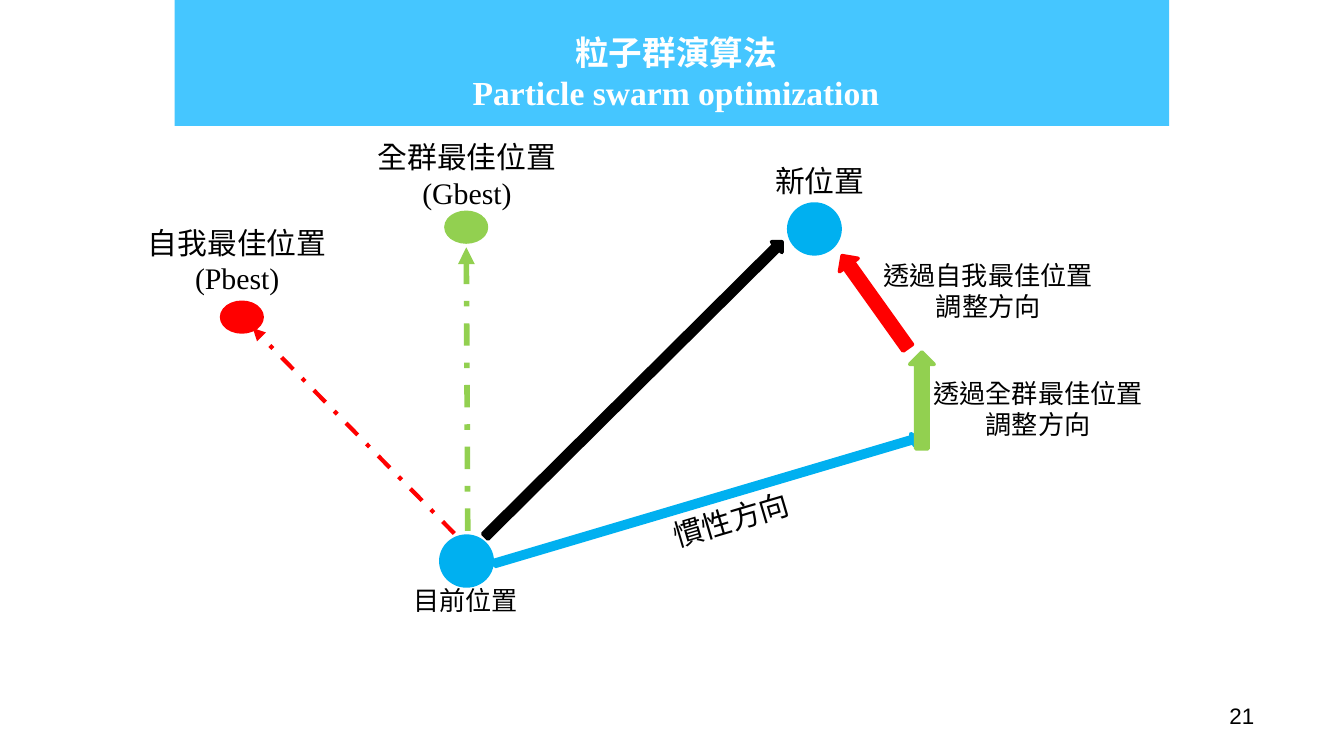
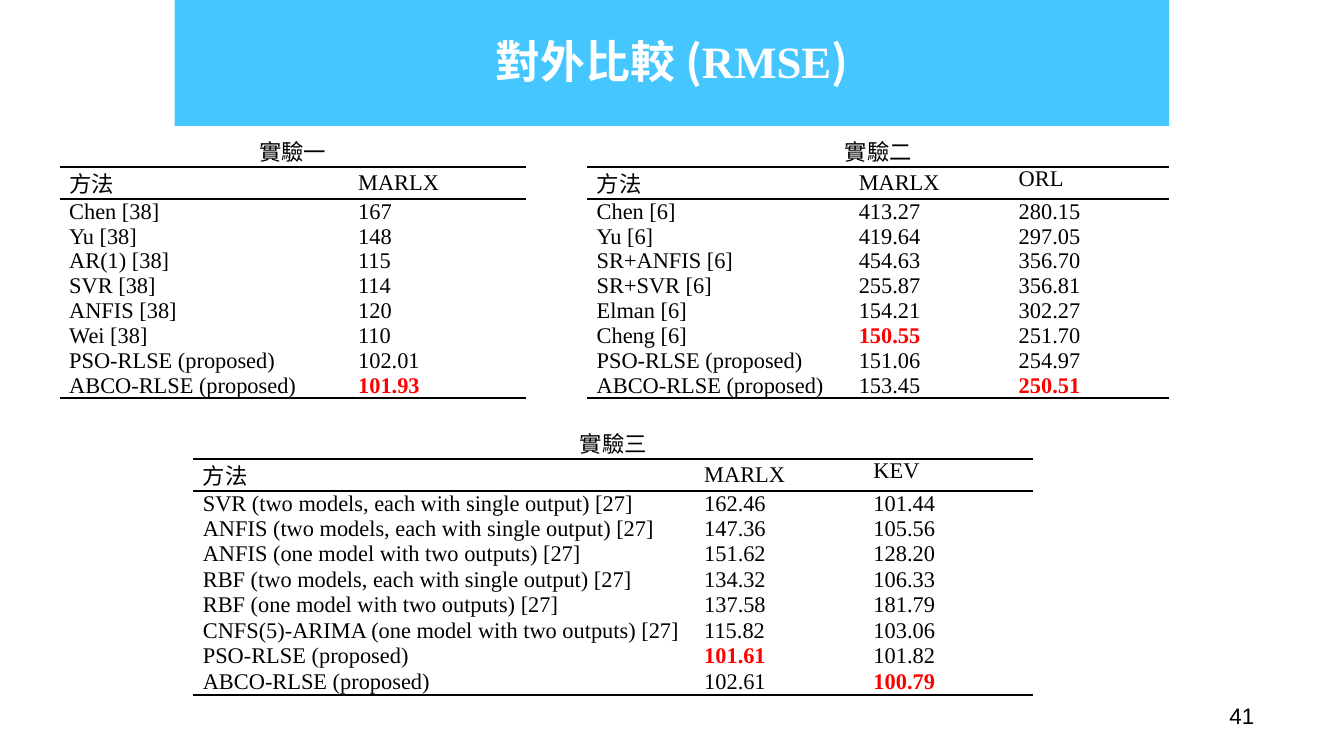
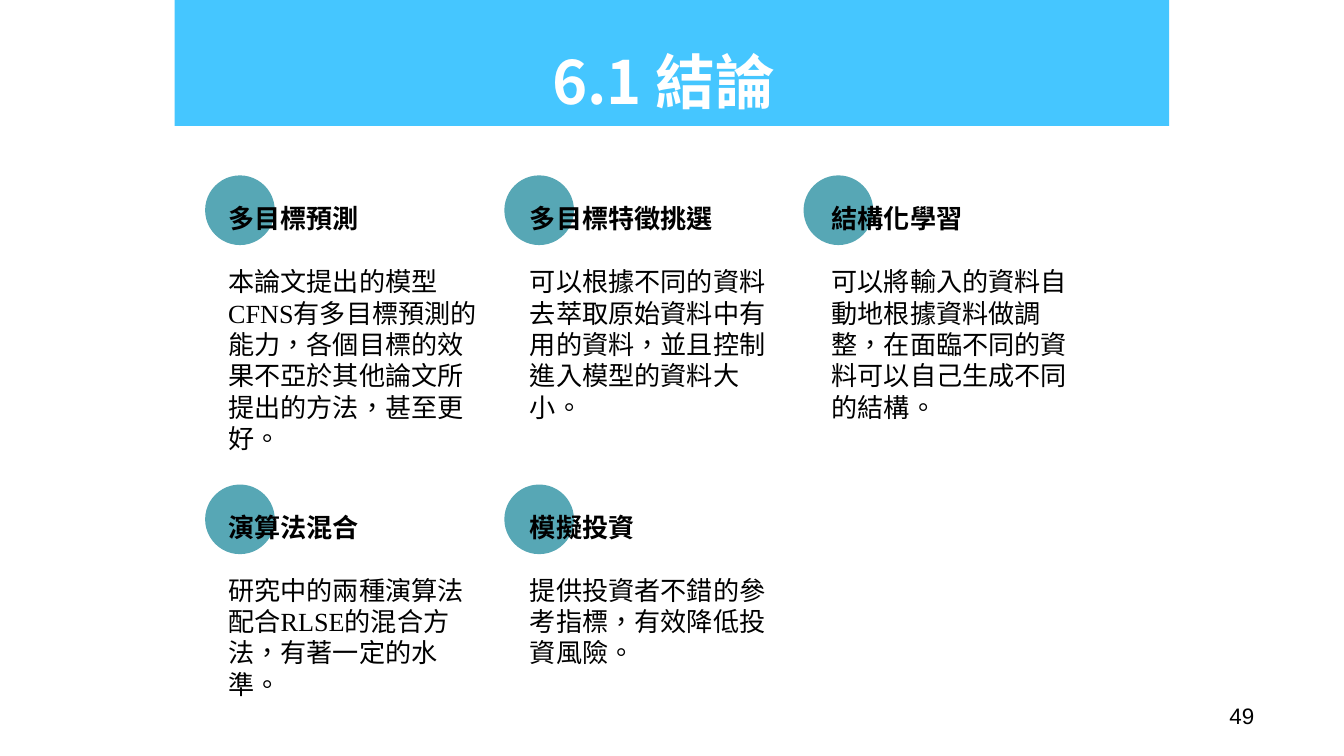
from lxml.etree import SubElement
from pptx import Presentation
from pptx.dml.color import RGBColor
from pptx.enum.dml import MSO_LINE
from pptx.enum.shapes import MSO_CONNECTOR, MSO_SHAPE
from pptx.enum.text import MSO_ANCHOR as ANCHOR, MSO_AUTO_SIZE as AUTO, PP_ALIGN as ALIGN
from pptx.oxml.ns import qn
from pptx.util import Pt

SERIF, SANS, PLAIN = "Times New Roman", "Noto Sans CJK SC", "Arial"
BLACK, WHITE, RED = "000000", "FFFFFF", "FF0000"
BLUE, GREEN, TEAL, BAND = "00B0F0", "92D050", "57A7B5", "00B2FF"
NO_STYLE = "{2D5ABB26-0587-4C30-8999-92F81FD0307C}"
HEADER_HEIGHT = 17.4

EXPERIMENTS = [
    ((32, 72), (154.8, 95), 13.35, "實驗一", [
        ("方法", "MARLX"),
        ("Chen [38]", "167"),
        ("Yu [38]", "148"),
        ("AR(1) [38]", "115"),
        ("SVR [38]", "114"),
        ("ANFIS [38]", "120"),
        ("Wei [38]", "110"),
        ("PSO-RLSE (proposed)", "102.01"),
        ("ABCO-RLSE (proposed)", "101.93"),
    ]),
    ((314.6, 72), (140.4, 85.7, 85.7), 13.35, "實驗二", [
        ("方法", "MARLX", "ORL"),
        ("Chen [6]", "413.27", "280.15"),
        ("Yu [6]", "419.64", "297.05"),
        ("SR+ANFIS [6]", "454.63", "356.70"),
        ("SR+SVR [6]", "255.87", "356.81"),
        ("Elman [6]", "154.21", "302.27"),
        ("Cheng [6]", "150.55", "251.70"),
        ("PSO-RLSE (proposed)", "151.06", "254.97"),
        ("ABCO-RLSE (proposed)", "153.45", "250.51"),
    ]),
    ((103.6, 228.4), (268.6, 90.7, 90.7), 13.65, "實驗三", [
        ("方法", "MARLX", "KEV"),
        ("SVR (two models, each with single output) [27]", "162.46", "101.44"),
        ("ANFIS (two models, each with single output) [27]", "147.36", "105.56"),
        ("ANFIS (one model with two outputs) [27]", "151.62", "128.20"),
        ("RBF (two models, each with single output) [27]", "134.32", "106.33"),
        ("RBF (one model with two outputs) [27]", "137.58", "181.79"),
        ("CNFS(5)-ARIMA (one model with two outputs) [27]", "115.82", "103.06"),
        ("PSO-RLSE (proposed)", "101.61", "101.82"),
        ("ABCO-RLSE (proposed)", "102.61", "100.79"),
    ]),
]
BEST = {"101.93", "150.55", "250.51", "101.61", "100.79"}

CONCLUSIONS = [
    ("多目標預測", SERIF, 143.3,
     "本論文提出的模型CFNS有多目標預測的能力，各個目標的效果不亞於其他論文所提出的方法，甚至更好。"),
    ("多目標特徵挑選", SANS, 108.7,
     "可以根據不同的資料去萃取原始資料中有用的資料，並且控制進入模型的資料大小。"),
    ("結構化學習", SANS, 126,
     "可以將輸入的資料自動地根據資料做調整，在面臨不同的資料可以自己生成不同的結構。"),
    ("演算法混合", SERIF, 92.2,
     "研究中的兩種演算法配合RLSE的混合方法，有著一定的水準。"),
    ("模擬投資", SANS, 92.2,
     "提供投資者不錯的參考指標，有效降低投資風險。"),
]


def rgb(color):
    return RGBColor.from_string(color)


def points(*lengths):
    return [Pt(length) for length in lengths]


def add_run(paragraph, text, size, color=BLACK, font=SERIF, bold=False):
    run = paragraph.add_run()
    run.text = text
    run.font.size = Pt(size)
    run.font.name = font
    run.font.bold = bold
    run.font.color.rgb = rgb(color)
    run._r.get_or_add_rPr().set("lang", "zh-TW")


def add_frame(slide, box, wrap=True):
    textbox = slide.shapes.add_textbox(*points(*box))
    textbox.text_frame.word_wrap = wrap
    return textbox, textbox.text_frame


def add_label(slide, box, lines, size, angle=0):
    label, frame = add_frame(slide, box, wrap=False)
    label.rotation = angle
    frame.auto_size = AUTO.SHAPE_TO_FIT_TEXT
    for number, line in enumerate(lines):
        paragraph = frame.add_paragraph() if number else frame.paragraphs[0]
        paragraph.alignment = ALIGN.CENTER
        add_run(paragraph, line, size)


def add_solid(slide, kind, box, color, angle=0):
    solid = slide.shapes.add_shape(kind, *points(*box))
    solid.shadow.inherit = False
    solid.rotation = angle
    solid.fill.solid()
    solid.fill.fore_color.rgb = rgb(color)
    solid.line.color.rgb = rgb(color)
    solid.line.width = Pt(2)
    return solid


def add_dashed_arrow(slide, start, end, color, width):
    arrow = slide.shapes.add_connector(MSO_CONNECTOR.STRAIGHT, *points(*start, *end))
    arrow.line.color.rgb = rgb(color)
    arrow.line.width = Pt(width)
    arrow.line.dash_style = MSO_LINE.DASH_DOT
    SubElement(arrow.line._get_or_add_ln(), qn("a:tailEnd"), type="triangle")
    SubElement(arrow._element.spPr, qn("a:effectLst"))


def add_title(slide, left, top, lines, size):
    _, frame = add_frame(slide, (left, top, 532.8, 39.6))
    frame.margin_top = frame.margin_bottom = Pt(7.2)
    paragraph = frame.paragraphs[0]
    paragraph.alignment = ALIGN.CENTER
    for number, line in enumerate(lines):
        if number:
            paragraph.add_line_break()
        for text, font in line:
            add_run(paragraph, text, size, WHITE, font, bold=True)


def start_slide(deck, page):
    slide = deck.slides.add_slide(deck.slide_layouts[6])
    band = add_solid(slide, MSO_SHAPE.RECTANGLE, (93.6, 0, 532.8, 67.5), BAND)
    band.line.fill.background()
    band_color = band._element.spPr.find(qn("a:solidFill"))[0]
    SubElement(band_color, qn("a:alpha"), val="73000")
    _, frame = add_frame(slide, (517, 372.5, 162, 21.6))
    frame.vertical_anchor = ANCHOR.MIDDLE
    frame.paragraphs[0].alignment = ALIGN.RIGHT
    add_run(frame.paragraphs[0], str(page), 12, font=PLAIN)
    return slide


def add_rule_below(cell):
    rule = SubElement(cell._tc.get_or_add_tcPr(), qn("a:lnB"), w=str(Pt(1)))
    SubElement(SubElement(rule, qn("a:solidFill")), qn("a:srgbClr"), val=BLACK)


def add_results(slide, corner, widths, line_height, caption, results):
    rows = [(caption,) + ("",) * (len(widths) - 1)] + results
    last = len(rows) - 1
    row_heights = [HEADER_HEIGHT if r < 2 else line_height for r in range(len(rows))]
    size = points(*corner, sum(widths), sum(row_heights))
    table = slide.shapes.add_table(len(rows), len(widths), *size).table
    table.first_row = table.horz_banding = False
    table._tbl.tblPr.find(qn("a:tableStyleId")).text = NO_STYLE
    for column, width in zip(table.columns, widths):
        column.width = Pt(width)
    for r, values in enumerate(rows):
        table.rows[r].height = Pt(row_heights[r])
        for c, value in enumerate(values):
            cell = table.cell(r, c)
            cell.margin_left = cell.margin_right = Pt(5.1)
            cell.margin_top = cell.margin_bottom = 0
            if r < 2 and c < 2:
                cell.vertical_anchor = ANCHOR.MIDDLE
            if r in (0, 1, last):
                add_rule_below(cell)
            cell.fill.background()
            if value:
                best = value in BEST
                paragraph = cell.text_frame.paragraphs[0]
                if r > 1:
                    paragraph.line_spacing = Pt(13.3)
                add_run(paragraph, value, 12, RED if best else BLACK, bold=best)
    table.cell(0, 0).merge(table.cell(0, len(widths) - 1))
    table.cell(0, 0).text_frame.paragraphs[0].alignment = ALIGN.CENTER


def add_conclusion(slide, box, heading, body, body_font):
    _, frame = add_frame(slide, box)
    frame.auto_size = AUTO.SHAPE_TO_FIT_TEXT
    add_run(frame.paragraphs[0], heading, 14, font=SANS, bold=True)
    explanation = frame.add_paragraph()
    explanation.space_before = Pt(16.8)
    explanation._p.get_or_add_pPr().set("hangingPunct", "0")
    add_run(explanation, body, 14, font=body_font)


def build_swarm(deck):
    slide = start_slide(deck, 21)
    add_title(slide, 95.8, 9.7, [[("粒子群演算法", SERIF)],
                                 [("Particle swarm optimization", SERIF)]], 18)
    for box, lines, size, angle in [
        ((213.8, 309.6, 71.3, 24.5), ["目前位置"], 14, 0),
        ((407.5, 83.5, 63.4, 26.6), ["新位置"], 16, 0),
        ((465.8, 135.4, 127.4, 41), ["透過自我最佳位置", "調整方向"], 14, 0),
        ((492.5, 198.7, 127.4, 41), ["透過全群最佳位置", "調整方向"], 14, 0),
        ((194.4, 70.6, 111.6, 46.1), ["全群最佳位置", "(Gbest)"], 16, 0),
        ((71.3, 116.6, 111.6, 46.1), ["自我最佳位置", "(Pbest)"], 16, 0),
        ((352, 265, 79.2, 26.6), ["慣性方向"], 16, 343.5),
    ]:
        add_label(slide, box, lines, size, angle)
    for box, color, angle in [
        ((227.5, 204.5, 223.9, 7.9), BLACK, 315.2),
        ((260, 265, 236.9, 6.5), BLUE, 343.5),
        ((468, 208, 51.8, 13), GREEN, 270),
        ((438.5, 155.5, 60.5, 12.2), RED, 234.5),
    ]:
        add_solid(slide, MSO_SHAPE.RIGHT_ARROW, box, color, angle)
    add_dashed_arrow(slide, (250.6, 284.4), (249.8, 132.5), GREEN, 3)
    add_dashed_arrow(slide, (243.4, 285.8), (135.4, 175.7), RED, 2.25)
    for left, top, width, height, color in [
        (236.2, 287.3, 27.4, 26.6, BLUE),
        (422.6, 109.4, 27.4, 26.6, BLUE),
        (239, 113.8, 21.6, 15.8, GREEN),
        (118.8, 162, 21.6, 15.8, RED),
    ]:
        add_solid(slide, MSO_SHAPE.OVAL, (left, top, width, height), color)


def build_comparison(deck):
    slide = start_slide(deck, 41)
    add_title(slide, 93.6, 10.8, [[("對外比較 (", SANS), ("RMSE", SERIF), (")", SANS)]], 24)
    for experiment in EXPERIMENTS:
        add_results(slide, *experiment)


def build_conclusions(deck):
    slide = start_slide(deck, 49)
    add_title(slide, 89.3, 16.6, [[("6.1 結論", SANS)]], 32)
    for index, (heading, font, height, body) in enumerate(CONCLUSIONS):
        row, column = divmod(index, 3)
        dot = (110.9 + 160.3 * column, 95 + 165.6 * row, 35.3, 35.3)
        add_solid(slide, MSO_SHAPE.OVAL, dot, TEAL)
        box = (115.2 + 161.6 * column, 105.1 + 165.2 * row, 151.2, height)
        add_conclusion(slide, box, heading, body, font)


def main():
    deck = Presentation()
    deck.slide_width, deck.slide_height = points(720, 405)
    build_swarm(deck)
    build_comparison(deck)
    build_conclusions(deck)
    deck.save("out.pptx")


if __name__ == "__main__":
    main()
